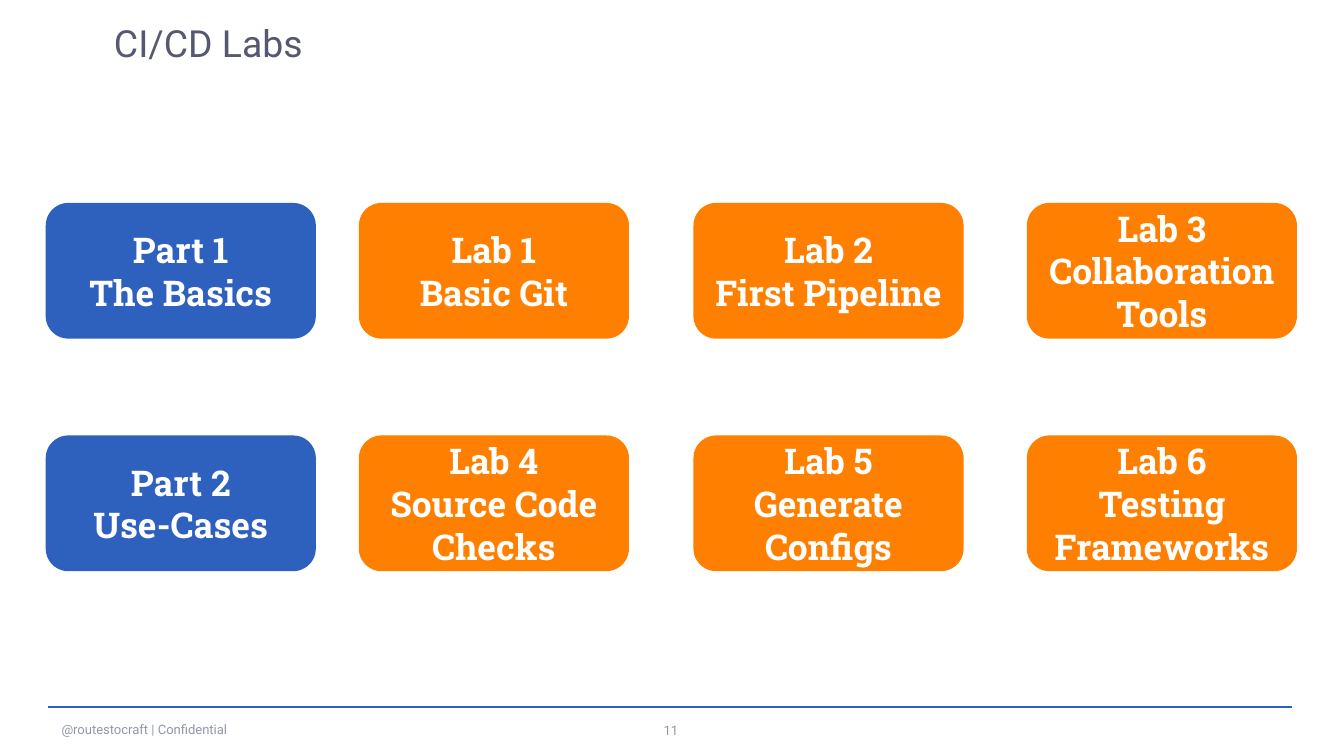
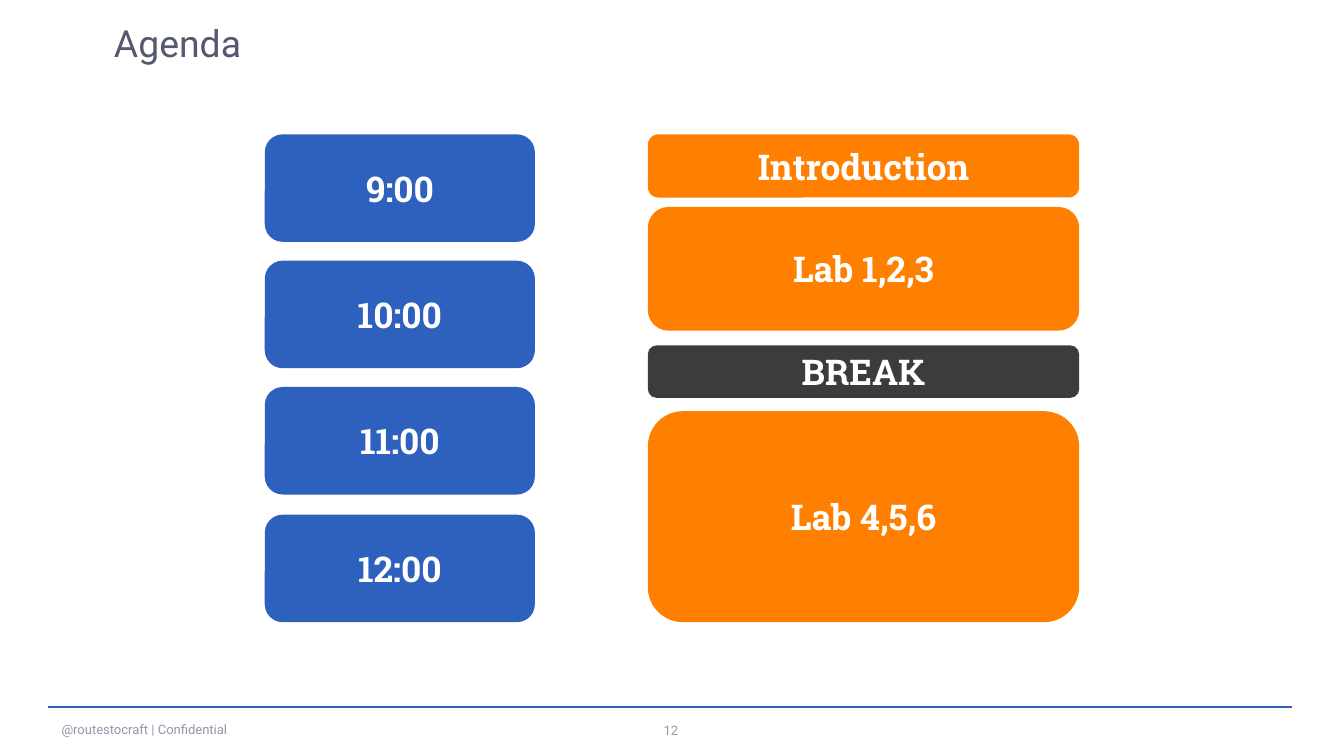
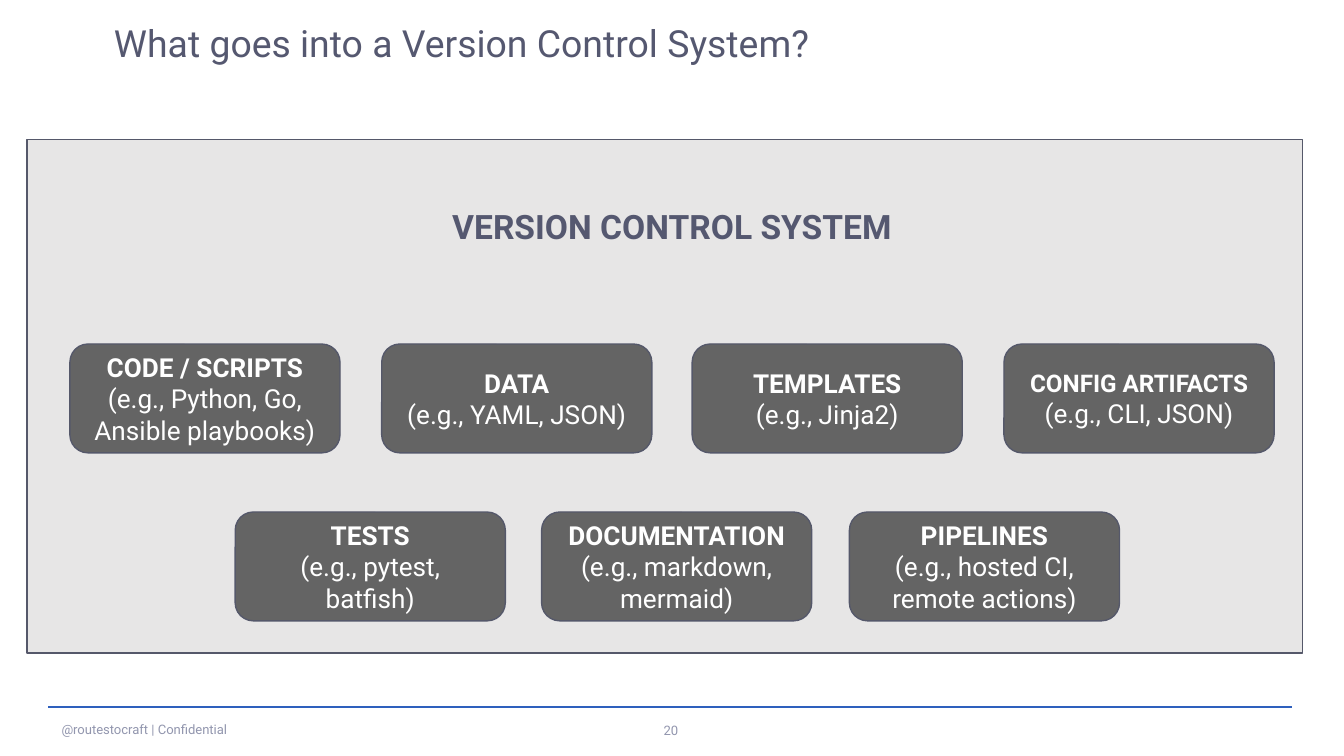
from collections import namedtuple
from dataclasses import dataclass

from lxml import etree
from pptx import Presentation
from pptx.dml.color import RGBColor
from pptx.enum.shapes import MSO_CONNECTOR, MSO_SHAPE
from pptx.enum.text import MSO_ANCHOR, PP_ALIGN
from pptx.oxml.ns import qn
from pptx.util import Pt

PX = 9144  # 100 px to the inch
ROUND, RECT = MSO_SHAPE.ROUNDED_RECTANGLE, MSO_SHAPE.RECTANGLE
LEFT, CENTER = PP_ALIGN.LEFT, PP_ALIGN.CENTER
TOP, MIDDLE = MSO_ANCHOR.TOP, MSO_ANCHOR.MIDDLE
STRAIGHT = MSO_CONNECTOR.STRAIGHT

Style = namedtuple("Style", "font size color bold")


@dataclass(frozen=True)
class Theme:
    blue: str = "2E60BD"
    orange: str = "FF8000"
    dark: str = "3C3C3C"
    gray: str = "646464"
    pale: str = "E7E6E6"
    edge: str = "55586A"
    title: Style = Style("Roboto", 20, "555870", False)
    foot: Style = Style("Roboto", 7, "9296AE", False)
    card: Style = Style("Roboto Slab", 19, "FFFFFF", True)
    head: Style = Style("Roboto", 18, "555870", True)
    name: Style = Style("Roboto", 14, "FFFFFF", True)
    small: Style = Style("Roboto", 13, "FFFFFF", True)
    note: Style = Style("Roboto", 14, "FFFFFF", False)


THEME = Theme()


def write(shape, rows, align=LEFT, anchor=TOP, pad=5):
    """Fill a shape with one paragraph for each (text, style) row."""
    frame = shape.text_frame
    frame.word_wrap = True
    frame.vertical_anchor = anchor
    frame.margin_left = frame.margin_right = 10 * PX
    frame.margin_top = frame.margin_bottom = pad * PX
    for i, (text, style) in enumerate(rows):
        para = frame.add_paragraph() if i else frame.paragraphs[0]
        para.text = text
        para.alignment = align
        font = para.font
        font.name, font.size, font.bold = style.font, Pt(style.size), style.bold
        font.color.rgb = RGBColor.from_string(style.color)


def block(slide, kind, box, fill, rows=(), edge=None):
    """Draw a filled shape with centred text and, if given, an edge."""
    shape = slide.shapes.add_shape(kind, *(n * PX for n in box))
    shape.shadow.inherit = False
    shape.fill.solid()
    shape.fill.fore_color.rgb = RGBColor.from_string(fill)
    if edge:
        shape.line.color.rgb = RGBColor.from_string(edge)
        shape.line.width = Pt(0.75)
    else:
        shape.line.fill.background()
    write(shape, rows, CENTER, MIDDLE, 10)


deck = Presentation()
deck.slide_width = 1000 * PX
deck.slide_height = deck.slide_width * 9 // 16

# Shared title, rule and footer
slides = []
for title, page in (
    ("CI/CD Labs", "11"),
    ("Agenda", "12"),
    ("What goes into a Version Control System?", "20"),
):
    slide = deck.slides.add_slide(deck.slide_layouts[6])
    slides.append(slide)
    rule = slide.shapes.add_connector(
        STRAIGHT, 36 * PX, 526 * PX, 961 * PX, 526 * PX)
    rule.line.color.rgb = RGBColor.from_string(THEME.blue)
    rule.line.width = Pt(1)
    etree.SubElement(rule._element.spPr, qn("a:effectLst"))
    for text, style, box, anchor in (
        ("@routestocraft | Confidential", THEME.foot, (36, 532, 156, 22), TOP),
        (page, THEME.foot, (484, 533, 32, 22), TOP),
        (title, THEME.title, (75, 14, 886, 39), MIDDLE),
    ):
        area = slide.shapes.add_textbox(*(n * PX for n in box))
        write(area, [(text, style)], anchor=anchor)
    area.text_frame.paragraphs[0].line_spacing = 0.9
labs, agenda, system = slides

# CI/CD Labs: one row for each part
parts = (
    (("Part 1", "The Basics"), ("Lab 1", "Basic Git"),
     ("Lab 2", "First Pipeline"), ("Lab 3", "Collaboration Tools")),
    (("Part 2", "Use-Cases"), ("Lab 4", "Source Code Checks"),
     ("Lab 5", "Generate Configs"), ("Lab 6", "Testing Frameworks")),
)
for top, cards in zip((151, 324), parts):
    for left, lines in zip((34, 267, 516, 764), cards):
        fill = THEME.blue if left == 34 else THEME.orange
        block(labs, ROUND, (left, top, 201, 101), fill,
              [(line, THEME.card) for line in lines])

# Agenda: hours beside sessions
for i, hour in enumerate(("9:00", "10:00", "11:00", "12:00")):
    block(agenda, ROUND, (197, 100 + 283 * i // 3, 201, 80), THEME.blue,
          [(hour, THEME.card)])
for text, top, high, fill in (
    ("Introduction", 100, 47, THEME.orange),
    ("Lab 1,2,3", 154, 92, THEME.orange),
    ("BREAK", 257, 39, THEME.dark),
    ("Lab 4,5,6", 306, 157, THEME.orange),
):
    block(agenda, ROUND, (482, top, 321, high), fill, [(text, THEME.card)])

# Version control system: panel, heading and two rows of contents
block(system, RECT, (20, 104, 949, 382), THEME.pale, edge=THEME.edge)
for left, top, span, items in (
    (52, 256, 695, (
        ("CODE / SCRIPTS", "(e.g., Python, Go, Ansible playbooks)", THEME.name),
        ("DATA", "(e.g., YAML, JSON)", THEME.name),
        ("TEMPLATES", "(e.g., Jinja2)", THEME.name),
        ("CONFIG ARTIFACTS", "(e.g., CLI, JSON)", THEME.small))),
    (175, 381, 457, (
        ("TESTS", "(e.g., pytest, batfish)", THEME.name),
        ("DOCUMENTATION", "(e.g., markdown, mermaid)", THEME.name),
        ("PIPELINES", "(e.g., hosted CI, remote actions)", THEME.name))),
):
    step = span / (len(items) - 1)
    for i, (name, note, style) in enumerate(items):
        block(system, ROUND, (left + round(step * i), top, 201, 81),
              THEME.gray, [(name, style), (note, THEME.note)], THEME.edge)
head = system.shapes.add_textbox(255 * PX, 143 * PX, 490 * PX, 45 * PX)
write(head, [("VERSION CONTROL SYSTEM", THEME.head)], CENTER, pad=10)

deck.save("out.pptx")
